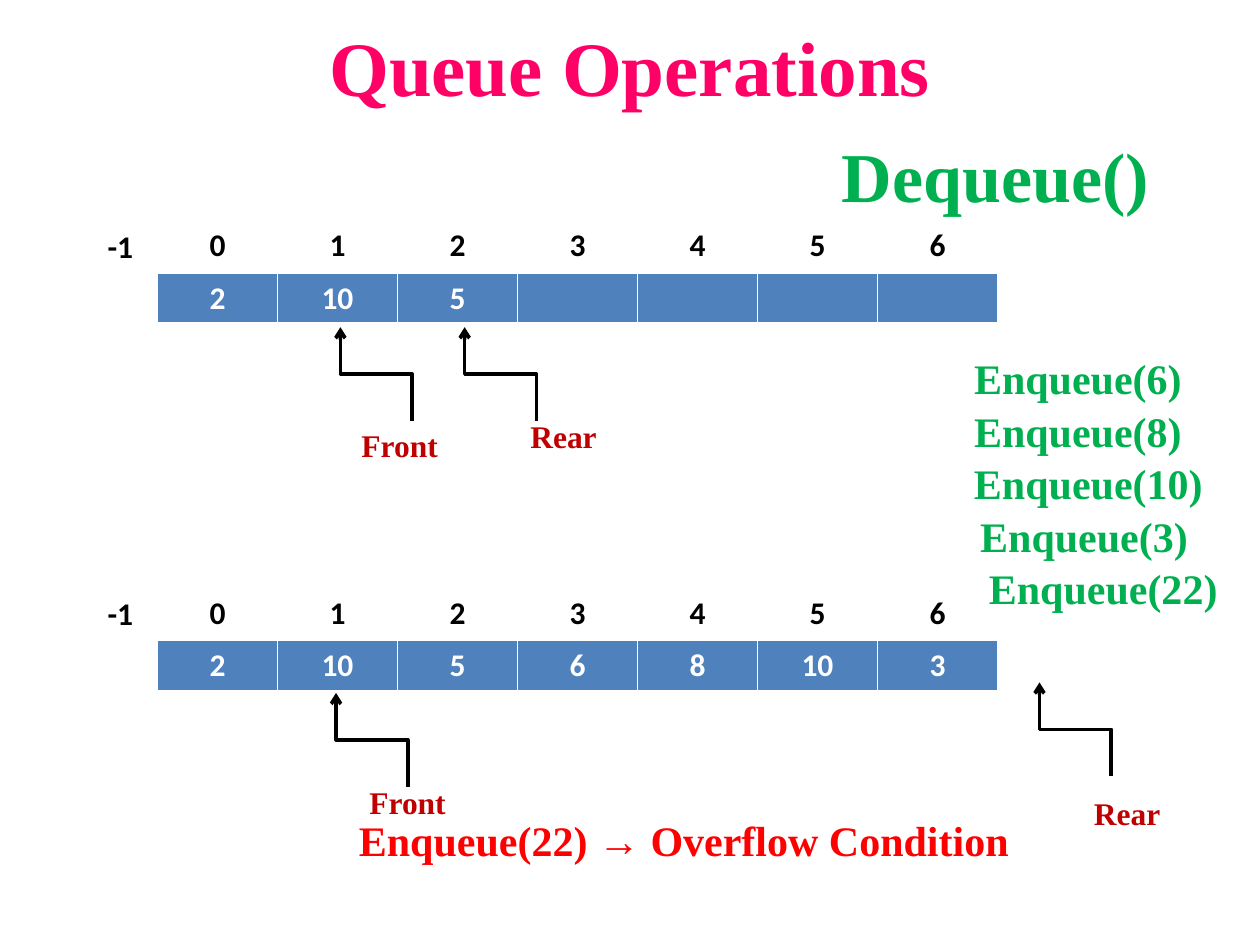
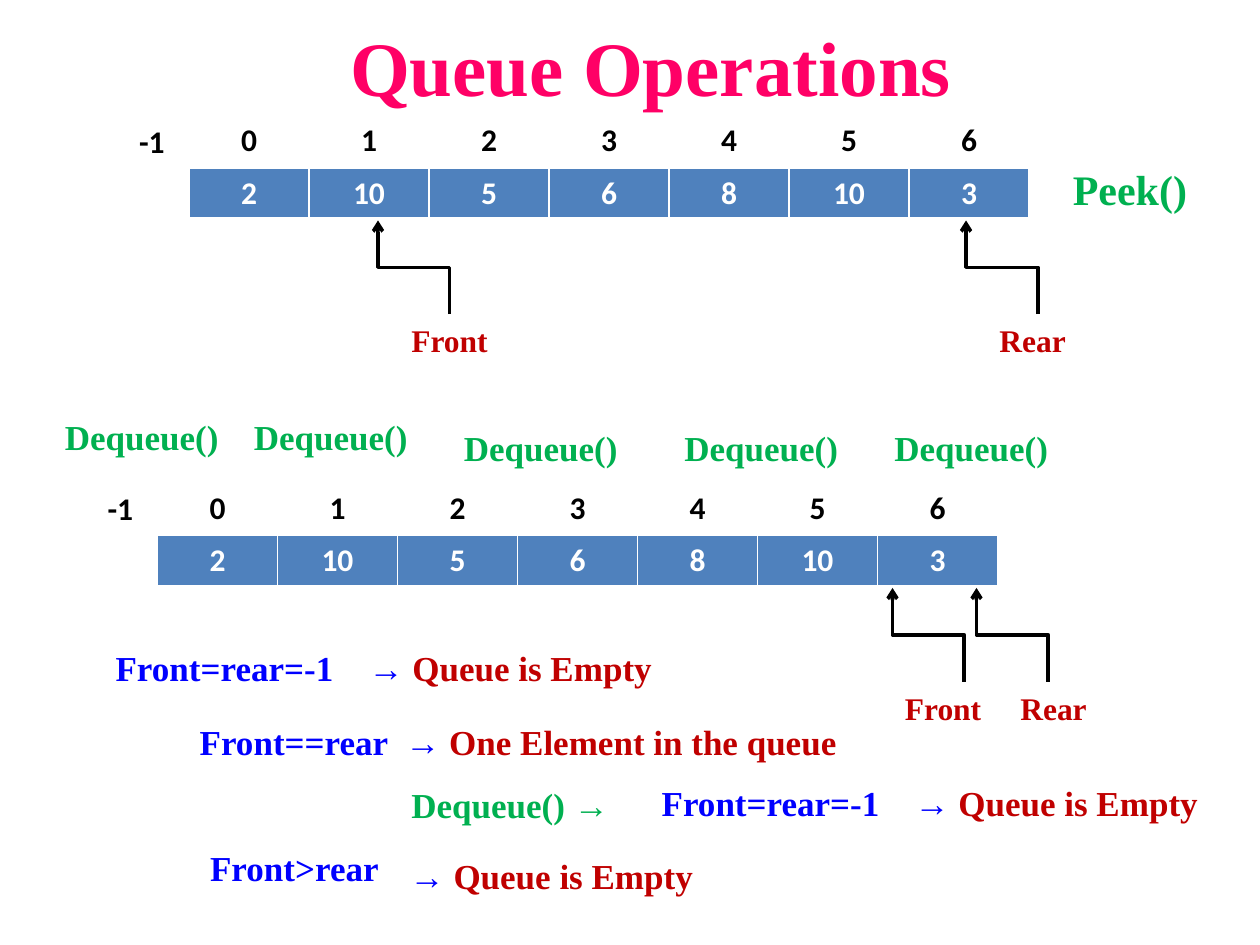
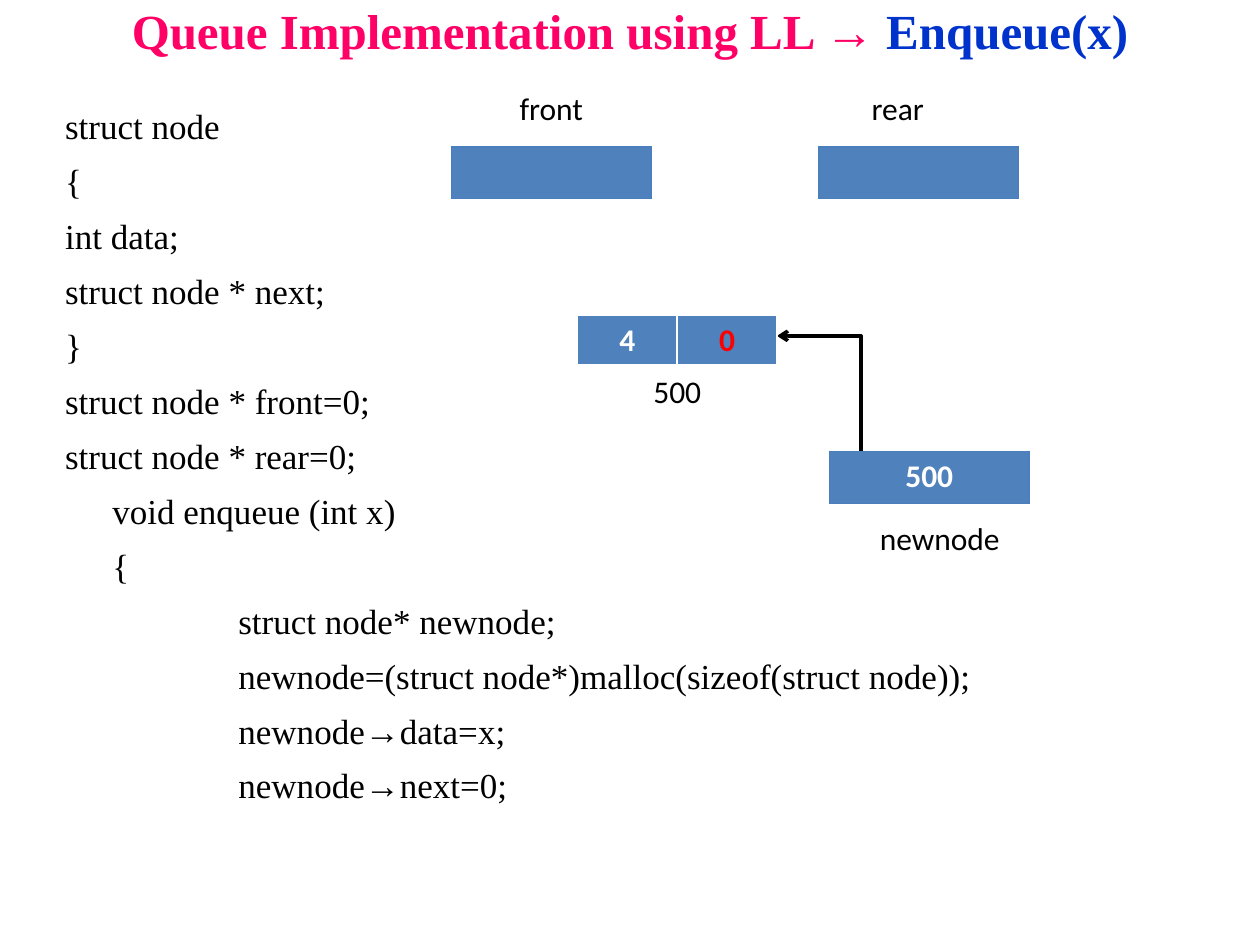
from dataclasses import dataclass

from pptx import Presentation
from pptx.dml.color import RGBColor
from pptx.enum.shapes import MSO_CONNECTOR as Connector
from pptx.enum.text import MSO_ANCHOR as Anchor, MSO_AUTO_SIZE as AutoSize, PP_ALIGN as Align
from pptx.oxml.ns import qn
from pptx.util import Pt
from lxml.etree import SubElement


@dataclass(frozen=True)
class Theme:
    serif: str = "Times New Roman"
    sans: str = "Calibri"
    pink: str = "FF0066"
    title_blue: str = "0033CC"
    green: str = "00B050"
    dark_red: str = "C00000"
    red: str = "FF0000"
    blue: str = "0000FF"
    cell_fill: str = "4F81BD"
    cell_edge: str = "4B7EBC"
    white: str = "FFFFFF"
    black: str = "000000"
    title_size: int = 44
    long_title_size: int = 28
    heading_size: int = 40
    call_size: int = 24
    body_size: int = 20
    label_size: int = 18


THEME = Theme()
TITLE_ONLY, TITLE_AND_BODY = 5, 1
QUEUE_WIDTH, NODE_WIDTH = 480, 114
ROW_HEIGHT, ROW_STEP = 29.5, 30
POINTER_RUN, POINTER_RISE = 41, 53.5
FULL_QUEUE = ("2", "10", "5", "6", "8", "10", "3")

CODE = (
    (0, "struct node"),
    (0, "{"),
    (0, "int data;"),
    (0, "struct node * next;"),
    (0, "}"),
    (0, "struct node * front=0;"),
    (0, "struct node * rear=0;"),
    (27, "void enqueue (int x)"),
    (27, "{"),
    (99, "struct node* newnode;"),
    (99, "newnode=(struct node*)malloc(sizeof(struct node));"),
    (99, "newnode→data=x;"),
    (99, "newnode→next=0;"),
)


def write(paragraph, text, *, size=THEME.label_size, color=THEME.black,
          font=THEME.serif, bold=True, align=None):
    """Append one formatted run to the paragraph."""
    if align is not None:
        paragraph.alignment = align
    run = paragraph.add_run()
    run.text = text
    run.font.name = font
    run.font.size = Pt(size)
    run.font.bold = bold
    run.font.color.rgb = RGBColor.from_string(color)


def place(shape, left, top, width, height):
    shape.left, shape.top = Pt(left), Pt(top)
    shape.width, shape.height = Pt(width), Pt(height)


def title(slide, text, left=36, height=75.6, size=THEME.title_size):
    heading = slide.shapes.title
    place(heading, left, 0, 648, height)
    heading.text_frame.auto_size = AutoSize.NONE
    heading.text_frame.vertical_anchor = Anchor.MIDDLE
    write(heading.text_frame.paragraphs[0], text, size=size, color=THEME.pink, align=Align.CENTER)
    return heading.text_frame


def label(slide, text, left, top, width, size=THEME.label_size, wrap=False, **style):
    """Add a one-line text box and return its paragraph."""
    box = slide.shapes.add_textbox(Pt(left), Pt(top), Pt(width), Pt(1.2 * size + 7.2))
    box.text_frame.word_wrap = wrap
    box.text_frame.auto_size = AutoSize.SHAPE_TO_FIT_TEXT
    paragraph = box.text_frame.paragraphs[0]
    write(paragraph, text, size=size, **style)
    return paragraph


def call(slide, text, left, top, width, size=THEME.call_size):
    label(slide, text, left, top, width, size=size, color=THEME.green)


def conclusion(slide, condition, result, left, top, width, arrow_at=None):
    """Add a condition and its result, with the arrow at a tab stop if one is given."""
    text = f"{condition}\t→ " if arrow_at else "→ "
    paragraph = label(slide, text, left, top, width, size=THEME.body_size, wrap=True, color=THEME.blue)
    if arrow_at:
        stops = SubElement(paragraph._p.get_or_add_pPr(), qn("a:tabLst"))
        SubElement(stops, qn("a:tab"), pos=str(Pt(arrow_at)), algn="l")
    write(paragraph, result, size=THEME.body_size, color=THEME.dark_red)


def edge_cell(cell, color, width, bottom_width):
    properties = cell._tc.get_or_add_tcPr()
    for side in ("L", "R", "T", "B"):
        points = bottom_width if side == "B" else width
        line = SubElement(properties, qn(f"a:ln{side}"), w=str(Pt(points)))
        SubElement(SubElement(line, qn("a:solidFill")), qn("a:srgbClr"), val=color)


def table_row(slide, left, top, width, values, *, filled=True, edge=(THEME.white, 1, 3),
              colors=None, bold=True):
    """Add a one-row table; an unfilled one serves as a row of captions."""
    table = slide.shapes.add_table(1, len(values), Pt(left), Pt(top), Pt(width), Pt(ROW_HEIGHT)).table
    table.horz_banding = False
    colors = colors or [THEME.white if filled else THEME.black] * len(values)
    for cell, value, color in zip(table.iter_cells(), values, colors):
        if filled:
            edge_cell(cell, *edge)
            cell.fill.solid()
            cell.fill.fore_color.rgb = RGBColor.from_string(THEME.cell_fill)
        else:
            cell.fill.background()
        if value:
            write(cell.text_frame.paragraphs[0], value, color=color, font=THEME.sans,
                  bold=bold, align=Align.CENTER)


def queue(slide, left, top, values):
    """Add the index row, the -1 position before it and the queue cells below."""
    table_row(slide, left, top + ROW_STEP, QUEUE_WIDTH, values)
    table_row(slide, left, top, QUEUE_WIDTH, [str(i) for i in range(len(values))], filled=False)
    label(slide, "-1", left - 36, top, 29.5, font=THEME.sans, align=Align.CENTER)


def node_box(slide, left, top, value=""):
    table_row(slide, left, top, NODE_WIDTH, [value], edge=(THEME.cell_edge, 0.75, 0.75))


def node_caption(slide, left, top, text):
    table_row(slide, left, top, NODE_WIDTH, [text], filled=False, bold=False)


def elbow_arrow(slide, begin_x, begin_y, end_x, end_y):
    arrow = slide.shapes.add_connector(Connector.ELBOW, Pt(begin_x), Pt(begin_y), Pt(end_x), Pt(end_y))
    arrow.line.color.rgb = RGBColor.from_string(THEME.black)
    arrow.line.width = Pt(2)
    SubElement(arrow.line._get_or_add_ln(), qn("a:tailEnd"), type="arrow")
    SubElement(arrow.element.spPr, qn("a:effectLst"))
    return arrow


def pointer(slide, name, tip_x, tip_y, name_x, name_y):
    """Add an upright elbow arrow ending at the tip, and its name."""
    center_x, center_y = tip_x + POINTER_RUN / 2, tip_y + POINTER_RISE / 2
    arrow = elbow_arrow(slide, center_x - POINTER_RISE / 2, center_y + POINTER_RUN / 2,
                        center_x + POINTER_RISE / 2, center_y - POINTER_RUN / 2)
    arrow.element.spPr.find(qn("a:xfrm")).set("rot", str(270 * 60000))
    label(slide, name, name_x, name_y, 58 if name == "Front" else 52.5, color=THEME.dark_red)


def code_body(slide, lines):
    body = slide.placeholders[1]
    place(body, 30, 54, 648, 456)
    frame = body.text_frame
    frame.auto_size = AutoSize.NONE
    for number, (indent, text) in enumerate(lines):
        paragraph = frame.add_paragraph() if number else frame.paragraphs[0]
        properties = paragraph._p.get_or_add_pPr()
        properties.set("marL", str(Pt(indent)))
        properties.set("indent", "0")
        SubElement(properties, qn("a:buNone"))
        paragraph.line_spacing = 1.1
        paragraph.space_before = Pt(5 if number else 0)
        write(paragraph, text, size=THEME.body_size, bold=False)


def overflow_slide(deck):
    slide = deck.slides.add_slide(deck.slide_layouts[TITLE_ONLY])
    title(slide, "Queue Operations")
    call(slide, "Dequeue()", 474, 72, 192, size=THEME.heading_size)

    queue(slide, 90, 126, ("2", "10", "5", "", "", "", ""))
    pointer(slide, "Front", 194.5, 187, 199.5, 240)
    pointer(slide, "Rear", 265.5, 187, 296, 234.5)

    queue(slide, 90, 336, FULL_QUEUE)
    pointer(slide, "Front", 192, 396, 204, 444)
    pointer(slide, "Rear", 594, 390, 618, 450)

    enqueued = ((6, 549.5, 135), (8, 549.5, 135), (10, 549.5, 147), (3, 553, 135), (22, 558, 147))
    for number, (value, left, width) in enumerate(enqueued):
        call(slide, f"Enqueue({value})", left, 198 + 30 * number, width)
    label(slide, "Enqueue(22) → Overflow Condition", 198, 462, 389,
          size=THEME.call_size, color=THEME.red)


def underflow_slide(deck):
    slide = deck.slides.add_slide(deck.slide_layouts[TITLE_ONLY])
    title(slide, "Queue Operations", left=48)

    queue(slide, 108, 66, FULL_QUEUE)
    pointer(slide, "Front", 216, 126, 228, 180)
    pointer(slide, "Rear", 552, 126, 564, 180)
    call(slide, "Peek()", 606, 90, 80.5)

    for left, top in ((30, 234), (138, 234), (258, 240), (384, 240), (504, 240)):
        call(slide, "Dequeue()", left, top, 103, size=THEME.body_size)

    queue(slide, 90, 276, FULL_QUEUE)
    pointer(slide, "Front", 510, 336, 510, 390)
    pointer(slide, "Rear", 558, 336, 576, 390)

    empty = "Queue is Empty"
    conclusion(slide, "Front=rear=-1", empty, 59, 366, 328, arrow_at=144.5)
    conclusion(slide, "Front==rear", "One Element in the queue", 107, 408, 386, arrow_at=117.5)
    call(slide, "Dequeue() →", 228, 444, 128, size=THEME.body_size)
    conclusion(slide, "Front=rear=-1", empty, 371, 443, 328, arrow_at=144.5)
    label(slide, "Front>rear", 113, 480, 117, size=THEME.body_size, color=THEME.blue)
    conclusion(slide, "", empty, 227, 484.5, 187)


def linked_list_slide(deck):
    slide = deck.slides.add_slide(deck.slide_layouts[TITLE_AND_BODY])
    heading = title(slide, "Queue Implementation using LL → ", height=60, size=THEME.long_title_size)
    heading.vertical_anchor = Anchor.TOP
    heading.margin_top = 0
    write(heading.paragraphs[0], "Enqueue(x)", size=THEME.long_title_size, color=THEME.title_blue)
    code_body(slide, CODE)

    elbow_arrow(slide, 540, 270, 444, 192)
    table_row(slide, 330, 180, NODE_WIDTH, ("4", "0"), colors=(THEME.white, THEME.red))
    node_caption(slide, 330, 210, "500")
    node_box(slide, 258, 84)
    node_caption(slide, 258, 48, "front")
    node_box(slide, 468, 84)
    node_caption(slide, 456, 48, "rear")
    node_box(slide, 474, 258, "500")
    node_caption(slide, 480, 294, "newnode")


def main():
    deck = Presentation()
    deck.slide_width, deck.slide_height = Pt(720), Pt(540)
    overflow_slide(deck)
    underflow_slide(deck)
    linked_list_slide(deck)
    deck.save("out.pptx")


if __name__ == "__main__":
    main()
